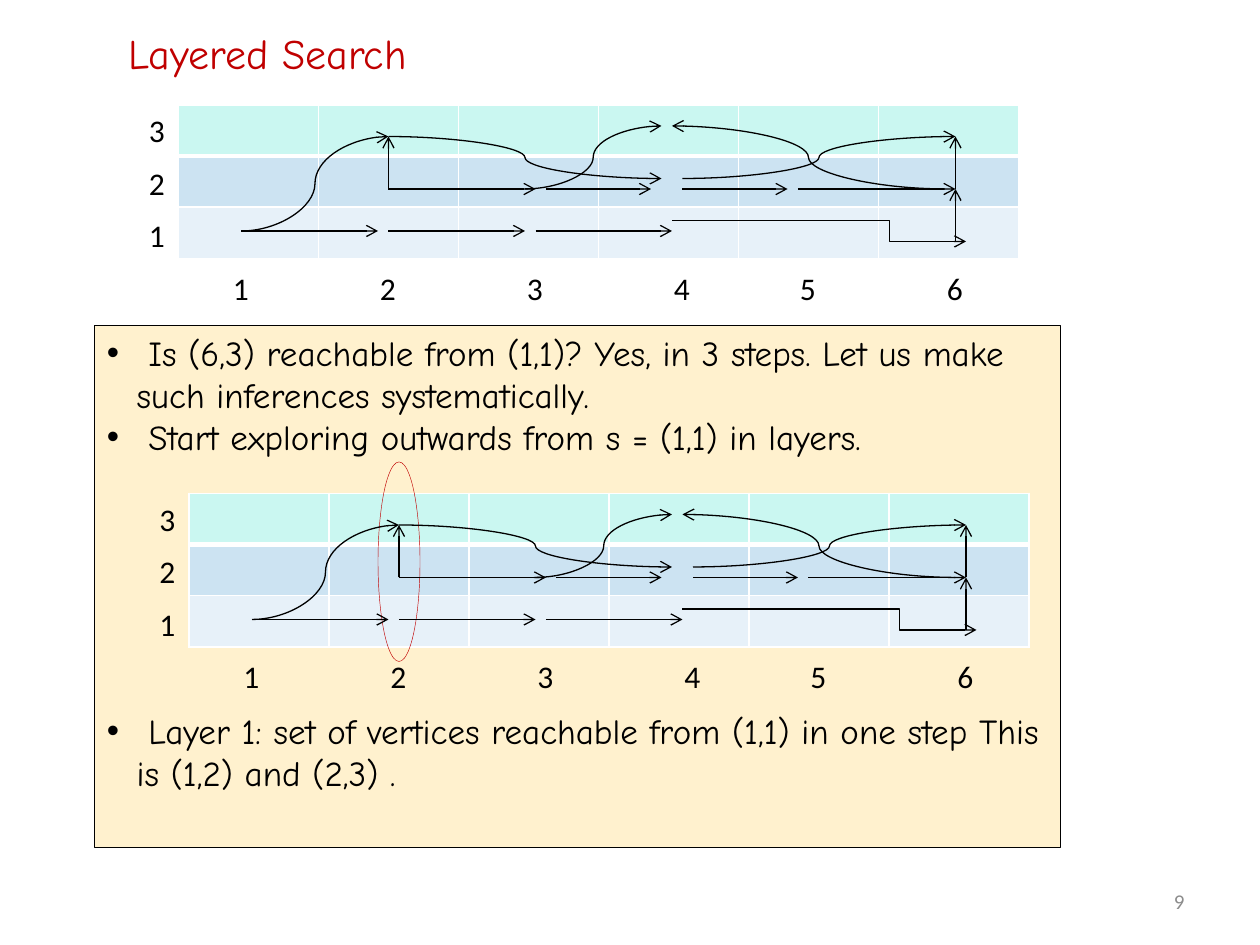
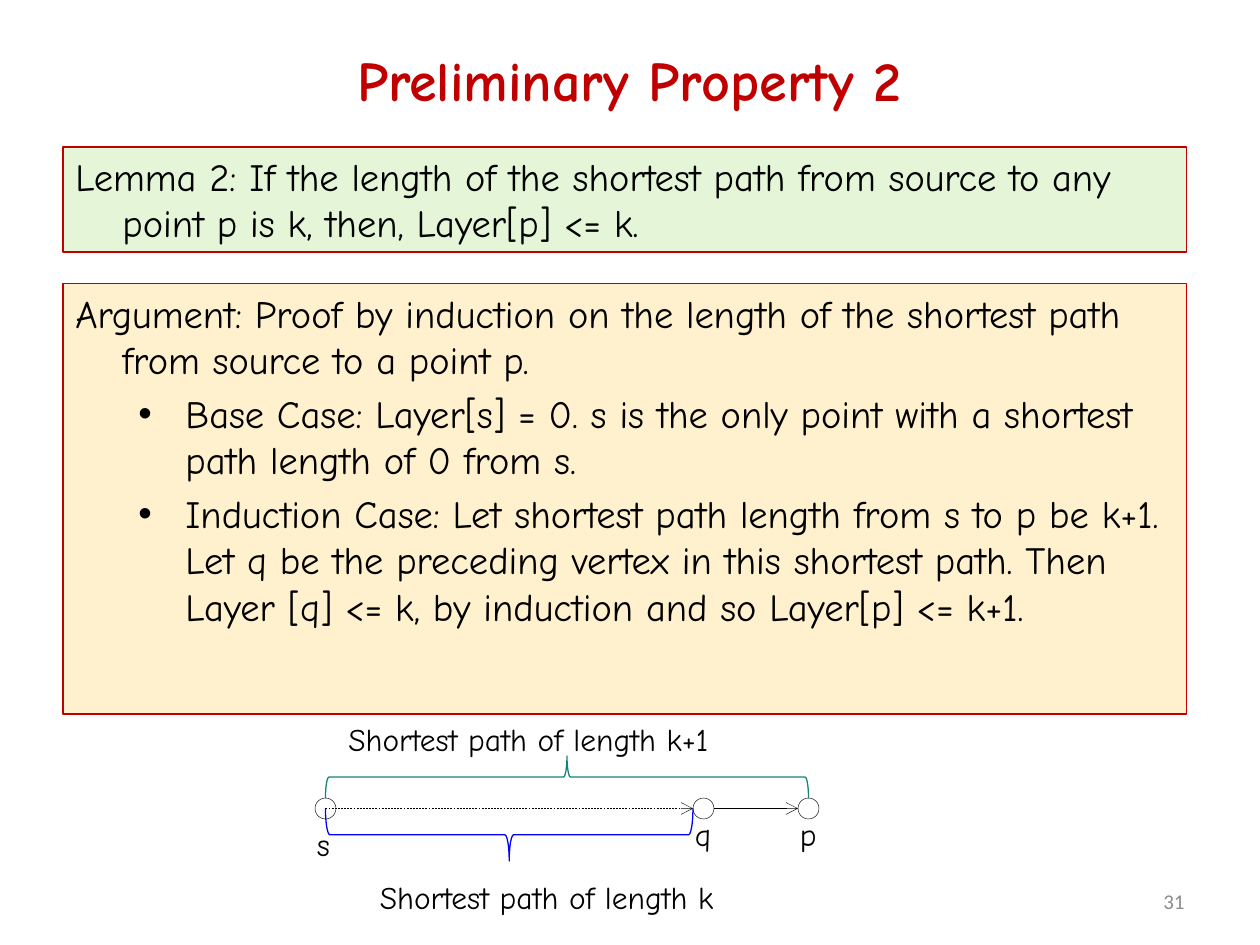
"""Build two slides on layered search and its second preliminary property."""
from pptx import Presentation
from pptx.dml.color import RGBColor
from pptx.enum.dml import MSO_LINE
from pptx.enum.shapes import MSO_CONNECTOR, MSO_SHAPE
from pptx.enum.text import MSO_ANCHOR, MSO_AUTO_SIZE, PP_ALIGN
from pptx.oxml import parse_xml
from pptx.oxml.ns import nsdecls
from pptx.util import Cm, Pt

BLACK = RGBColor(0, 0, 0)
RED = RGBColor(0xC0, 0, 0)
BLUE = RGBColor(0, 0, 0xFF)
TEAL = RGBColor(0x13, 0x86, 0x77)
GRAY = RGBColor(0x8C, 0x8C, 0x8C)
CREAM = RGBColor(0xFF, 0xF1, 0xCE)
GREEN = RGBColor(0xE5, 0xF6, 0xD8)
ROWS = [RGBColor(0xCA, 0xF7, 0xF1), RGBColor(0xCC, 0xE3, 0xF2), RGBColor(0xE7, 0xF1, 0xF9)]
HAND = "Comic Neue"
PLAIN = "Calibri"
GRID = 2.54 / 12
STRAIGHT, ELBOW, CURVE = MSO_CONNECTOR.STRAIGHT, MSO_CONNECTOR.ELBOW, MSO_CONNECTOR.CURVE


def write(frame, text, size=18, font=HAND, color=BLACK, bold=False,
          align=PP_ALIGN.LEFT, left=0, hang=0, before=0, bullet=False):
    """Put text in the first empty paragraph of a frame, or in a new one."""
    para = frame.paragraphs[0] if not frame.text else frame.add_paragraph()
    para.alignment = align
    para.space_before = Pt(before)
    props = para._p.get_or_add_pPr()
    props.set("marL", str(Cm(left)))
    props.set("indent", str(-Cm(hang)))
    if bullet:
        props.append(parse_xml(f'<a:buFont {nsdecls("a")} typeface="Arial"/>'))
        props.append(parse_xml(f'<a:buChar {nsdecls("a")} char="•"/>'))
    run = para.add_run()
    run.text = text
    run.font.size, run.font.name, run.font.bold = Pt(size), font, bold
    run.font.color.rgb = color


def place(slide, at, kind=None, fill=None, line=BLACK, width=0.75):
    """Add a shape, or a text box when no kind is given, in grid units."""
    spot = [Cm(n * GRID) for n in at]
    if kind is None:
        shape = slide.shapes.add_textbox(*spot)
        shape.text_frame.word_wrap = False
        return shape
    shape = slide.shapes.add_shape(kind, *spot)
    shape.shadow.inherit = False
    shape.line.color.rgb, shape.line.width = line, Pt(width)
    if fill is None:
        shape.fill.background()
    else:
        shape.fill.solid()
        shape.fill.fore_color.rgb = fill
    shape.text_frame.word_wrap = True
    shape.text_frame.vertical_anchor = MSO_ANCHOR.TOP
    return shape


deck = Presentation()
deck.slide_width, deck.slide_height = Cm(25.4), Cm(19.05)

HEADS = [
    ("Layered Search", "9", (11, 2, 32, 6), 24, False, PP_ALIGN.LEFT, MSO_ANCHOR.TOP),
    ("Preliminary Property 2", "31", (6, 0, 108, 15), 32, True, PP_ALIGN.CENTER, MSO_ANCHOR.MIDDLE),
]
for text, number, at, size, bold, align, anchor in HEADS:
    slide = deck.slides.add_slide(deck.slide_layouts[5])
    title = slide.shapes.title
    title.left, title.top, title.width, title.height = [Cm(n * GRID) for n in at]
    frame = title.text_frame
    frame.auto_size = MSO_AUTO_SIZE.NONE
    frame.word_wrap = bold
    frame.vertical_anchor = anchor
    write(frame, text, size=size, color=RED, bold=bold, align=align)
    foot = place(slide, (86, 83.4, 28, 4.8)).text_frame
    foot.word_wrap = True
    foot.vertical_anchor = MSO_ANCHOR.MIDDLE
    write(foot, number, size=12, font=PLAIN, color=GRAY, align=PP_ALIGN.RIGHT)

search, proof = deck.slides
links = []

notes = place(search, (9, 31, 92, 49.7), MSO_SHAPE.RECTANGLE, fill=CREAM).text_frame
for text, before in [
    (" Is (6,3) reachable from (1,1)? Yes, in 3 steps. Let us make such inferences systematically.", 0),
    (" Start exploring outwards from s = (1,1) in layers.", 0),
    (" Layer 1: set of vertices reachable from (1,1) in one step This is (1,2) and (2,3) .", 144),
]:
    write(notes, text, size=20, left=0.6, hang=0.6, before=before, bullet=True)

EDGES = [
    (STRAIGHT, 23, 22, 36, 22), (STRAIGHT, 37, 22, 50, 22), (STRAIGHT, 51, 22, 64, 22),
    (ELBOW, 64, 21, 92, 23),
    (CURVE, 23, 22, 37, 13), (CURVE, 37, 13, 63, 17), (CURVE, 65, 17, 91, 13),
    (STRAIGHT, 37, 18, 37, 13), (STRAIGHT, 37, 18, 51, 18), (STRAIGHT, 52, 18, 62, 18),
    (STRAIGHT, 91, 23, 91, 18), (STRAIGHT, 91, 18, 91, 13),
    (STRAIGHT, 65, 18, 75, 18), (STRAIGHT, 76, 18, 91, 18),
    (CURVE, 50, 18, 63, 12), (CURVE, 90, 18, 64, 12),
]
MARKS = [(x, 25, str(n)) for n, x in enumerate((21, 35, 49, 63, 75, 89), 1)]
MARKS += [(13, 10 + 5 * n, str(3 - n)) for n in range(3)]

for dx, dy in [(0, 0), (1, 37)]:
    spot = [Cm(n * GRID) for n in (17 + dx, 10 + dy, 80, 14.6)]
    board = search.shapes.add_table(3, 6, *spot).table
    board.first_row = board.horz_banding = False
    for r, fill in enumerate(ROWS):
        board.rows[r].height = Cm(1.03)
        for cell in board.rows[r].cells:
            for side in "LRTB":
                width = Pt(3 if (r, side) in [(0, "B"), (1, "T")] else 1)
                cell._tc.get_or_add_tcPr().append(parse_xml(
                    f'<a:ln{side} {nsdecls("a")} w="{width}"><a:solidFill>'
                    f'<a:srgbClr val="FFFFFF"/></a:solidFill></a:ln{side}>'))
            cell.fill.solid()
            cell.fill.fore_color.rgb = fill
    for x, y, text in MARKS:
        write(place(search, (x + dx, y + dy, 4, 4.8)).text_frame, text, font=PLAIN)
    for kind, x1, y1, x2, y2 in EDGES:
        links.append((search, kind, (x1 + dx, y1 + dy, x2 + dx, y2 + dy), 0.75, None))

place(search, (36, 44, 4, 19), MSO_SHAPE.OVAL, line=RED, width=0.25)

lemma = place(proof, (6, 14, 107, 10), MSO_SHAPE.RECTANGLE, fill=GREEN, line=RED).text_frame
write(lemma, "Lemma 2: If the length of the shortest path from source to any point p is k, "
      "then, Layer[p] <= k.", size=22, left=0.95, hang=0.95)

proofs = place(proof, (6, 27, 107, 41), MSO_SHAPE.RECTANGLE, fill=CREAM, line=RED).text_frame
write(proofs, "Argument: Proof by induction on the length of the shortest path from source "
      "to a point p.", size=22, left=0.95, hang=0.95)
for text in [
    "Base Case: Layer[s] = 0. s is the only point with a shortest path length of 0 from s.",
    "Induction Case: Let shortest path length from s to p be k+1. Let q be the preceding "
    "vertex in this shortest path. Then Layer [q] <= k, by induction and so Layer[p] <= k+1.",
]:
    write(proofs, text, size=22, left=2.22, hang=0.95, before=4.5, bullet=True)

for x in (30, 66, 76):
    place(proof, (x, 76, 2, 2), MSO_SHAPE.OVAL, width=0.25)
for at, color, turn in [((46, 62, 5, 35), BLUE, 270), ((52, 51, 4, 46), TEAL, 90)]:
    place(proof, at, MSO_SHAPE.LEFT_BRACE, line=color).rotation = turn
for x, y, width, text in [
    (29, 78, 3.8, "s"), (65, 77, 4, "q"), (75, 77, 4, "p"),
    (35, 83, 38.9, "Shortest path of length k"),
    (32, 68, 41.8, "Shortest path of length k+1"),
]:
    write(place(proof, (x, y, width, 4.8)).text_frame, text)
links.append((proof, STRAIGHT, (31, 77, 66, 77), 0.25, MSO_LINE.DASH))
links.append((proof, STRAIGHT, (68, 77, 76, 77), 0.25, None))

for slide, kind, ends, width, dash in links:
    link = slide.shapes.add_connector(kind, *[Cm(n * GRID) for n in ends])
    link.line.color.rgb, link.line.width = BLACK, Pt(width)
    if dash:
        link.line.dash_style = dash
    link.line._get_or_add_ln().append(parse_xml(f'<a:tailEnd {nsdecls("a")} type="arrow"/>'))
    props = link._element.spPr
    props.append(parse_xml(f'<a:effectLst {nsdecls("a")}/>'))
    if kind == ELBOW:
        props.prstGeom.get_or_add_avLst().append(parse_xml(
            f'<a:gd {nsdecls("a")} name="adj1" fmla="val 73900"/>'))

deck.save("out.pptx")
